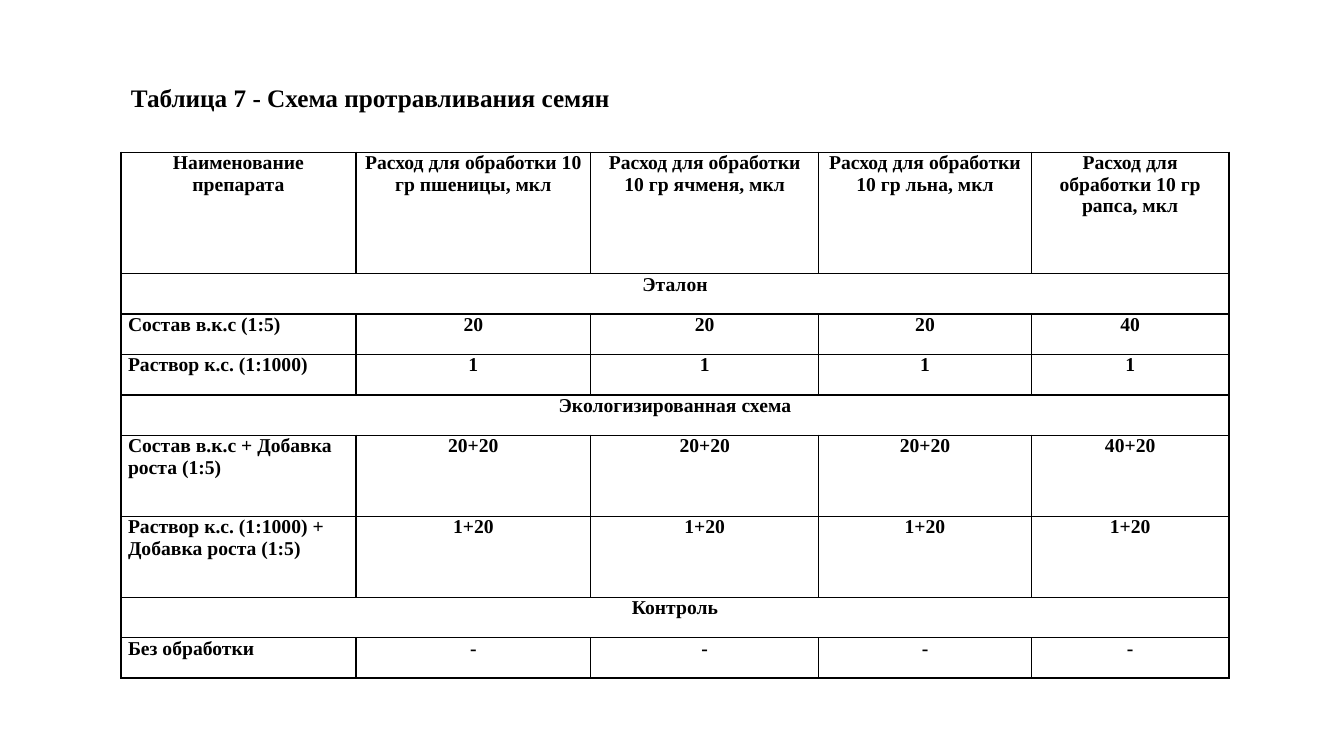
from lxml import etree
from pptx import Presentation
from pptx.dml.color import RGBColor
from pptx.enum.text import MSO_AUTO_SIZE, PP_ALIGN
from pptx.oxml.ns import qn
from pptx.util import Inches, Pt

CENTER, LEFT = PP_ALIGN.CENTER, PP_ALIGN.LEFT
GROW = MSO_AUTO_SIZE.SHAPE_TO_FIT_TEXT
FONT, INK = "Times New Roman", "000000"

TITLE = "Таблица 7 - Схема протравливания семян"
# Height in row units, then the cells; a single cell spans the whole row
ROWS = [
    (3, ["Наименование препарата",
         "Расход для обработки 10 гр пшеницы, мкл",
         "Расход для обработки 10 гр ячменя, мкл",
         "Расход для обработки 10 гр льна, мкл",
         "Расход для обработки 10 гр рапса, мкл"]),
    (1, ["Эталон"]),
    (1, ["Состав в.к.с (1:5)", "20", "20", "20", "40"]),
    (1, ["Раствор к.с. (1:1000)", "1", "1", "1", "1"]),
    (1, ["Экологизированная схема"]),
    (2, ["Состав в.к.с + Добавка роста (1:5)", "20+20", "20+20", "20+20", "40+20"]),
    (2, ["Раствор к.с. (1:1000) + Добавка роста (1:5)", "1+20", "1+20", "1+20", "1+20"]),
    (1, ["Контроль"]),
    (1, ["Без обработки", "-", "-", "-", "-"]),
]
COLUMN_WIDTHS = [2.33, 2.33, 2.26, 2.11, 1.96]
TABLE_LEFT, TABLE_TOP, TABLE_HEIGHT = 1.2, 1.51, 5.22


def write(paragraph, text, size, align):
    paragraph.text = text
    paragraph.alignment = align
    font = paragraph.font
    font.name, font.size, font.bold = FONT, Pt(size), True
    font.color.rgb = RGBColor.from_string(INK)


def add_borders(cell):
    properties = cell._tc.get_or_add_tcPr()
    for position, side in enumerate(("a:lnL", "a:lnR", "a:lnT", "a:lnB")):
        line = etree.Element(qn(side), w=str(Pt(1)))
        fill = etree.SubElement(line, qn("a:solidFill"))
        etree.SubElement(fill, qn("a:srgbClr"), val=INK)
        properties.insert(position, line)


deck = Presentation()
deck.slide_width, deck.slide_height = Inches(13.33), Inches(7.5)
page = deck.slides.add_slide(deck.slide_layouts[6])

table = page.shapes.add_table(
    len(ROWS), len(COLUMN_WIDTHS), Inches(TABLE_LEFT), Inches(TABLE_TOP),
    Inches(sum(COLUMN_WIDTHS)), Inches(TABLE_HEIGHT)).table
table.horz_banding = False
for column, width in zip(table.columns, COLUMN_WIDTHS):
    column.width = Inches(width)

row_unit = TABLE_HEIGHT / sum(units for units, _ in ROWS)
for row_index, (units, texts) in enumerate(ROWS):
    row = table.rows[row_index]
    row.height = Inches(units * row_unit)
    for cell in row.cells:
        cell.margin_left = cell.margin_right = Inches(0.07)
        cell.margin_top = cell.margin_bottom = 0
        cell.fill.background()
        add_borders(cell)
    if len(texts) == 1:
        row.cells[0].merge(row.cells[len(COLUMN_WIDTHS) - 1])
    for column_index, text in enumerate(texts):
        is_name = row_index > 0 and column_index == 0 and len(texts) > 1
        write(row.cells[column_index].text_frame.paragraphs[0], text, 14,
              LEFT if is_name else CENTER)

title = page.shapes.add_textbox(Inches(TABLE_LEFT), Inches(0.77), Inches(6.67), Inches(0.4))
title.text_frame.word_wrap = True
title.text_frame.auto_size = GROW
write(title.text_frame.paragraphs[0], TITLE, 18, LEFT)

deck.save("out.pptx")
